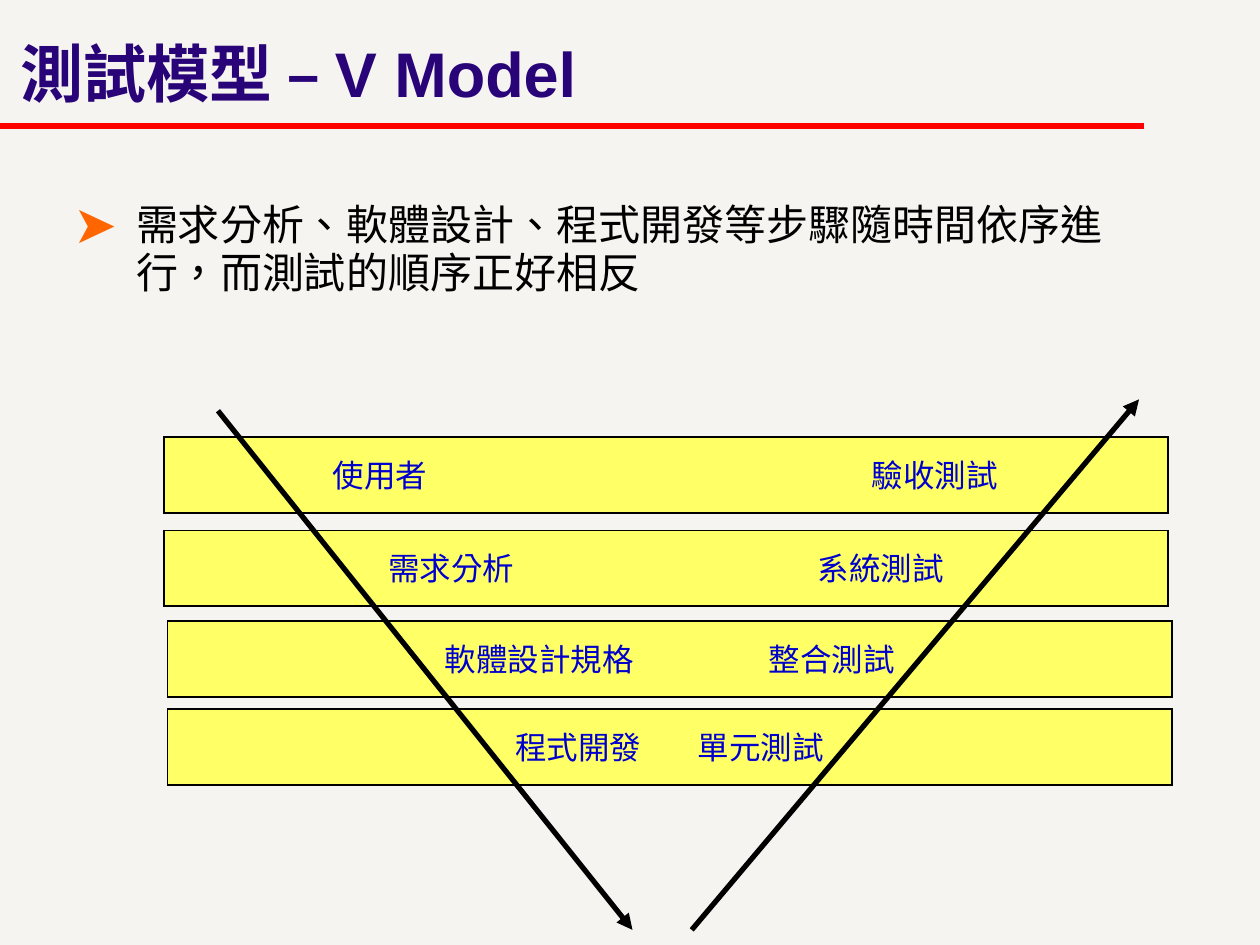
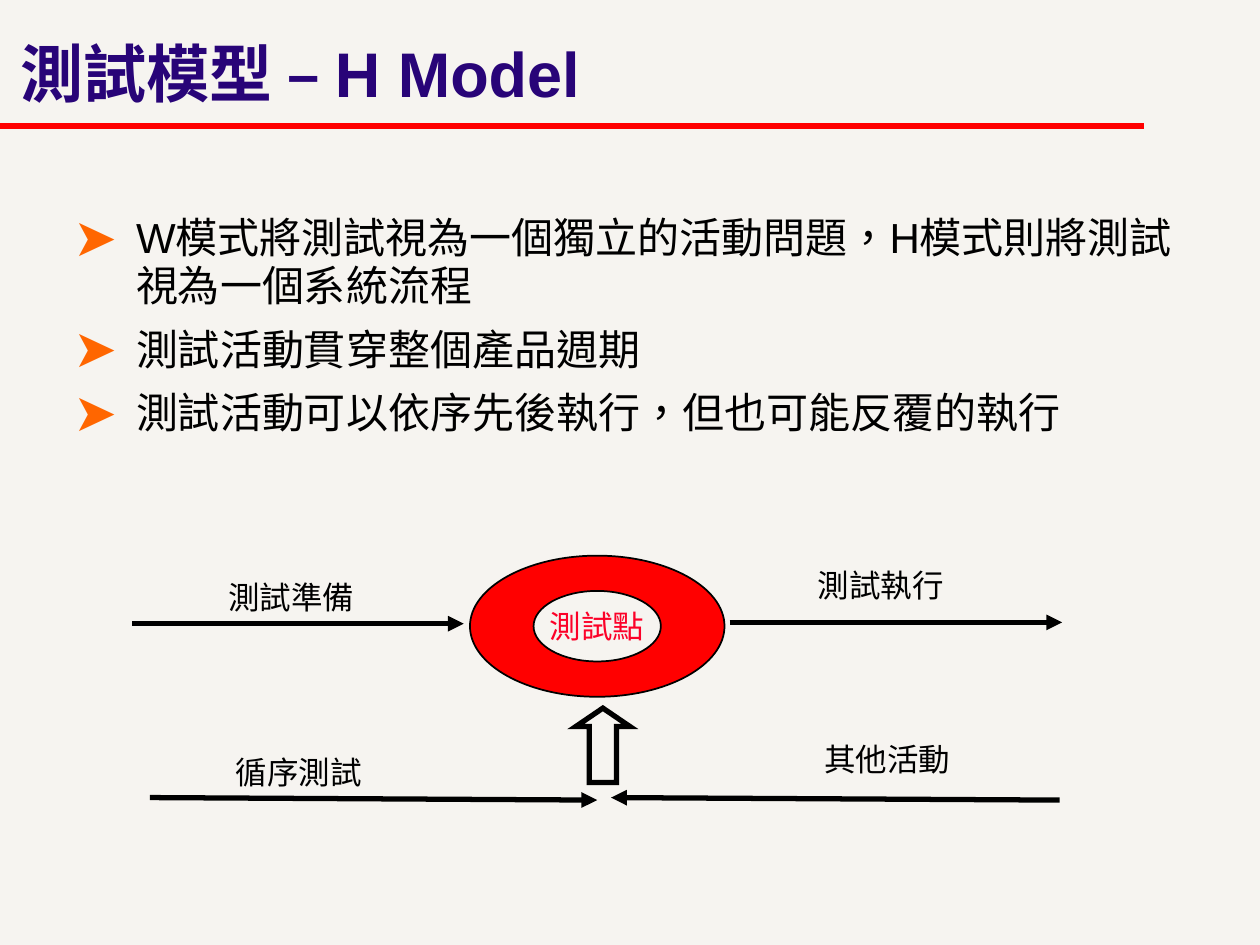
from dataclasses import dataclass

from pptx import Presentation
from pptx.dml.color import RGBColor
from pptx.enum.lang import MSO_LANGUAGE_ID
from pptx.enum.shapes import MSO_CONNECTOR, MSO_SHAPE
from pptx.enum.text import MSO_ANCHOR, PP_ALIGN
from pptx.oxml.ns import qn
from pptx.util import Inches, Pt
from lxml.etree import SubElement


@dataclass(frozen=True)
class Theme:
    """Colours, fonts and sizes shared by the slides."""
    paper: str = "F6F4F0"
    title: str = "280478"
    red: str = "FF0000"
    black: str = "000000"
    bullet: str = "FF6600"
    bar: str = "FFFF66"
    bar_text: str = "0000CC"
    point_text: str = "FC0128"
    font: str = "Arial"
    label_font: str = "TeX Gyre Pagella"
    title_size: int = 36
    body_size: int = 24
    label_size: int = 18
    thick: int = 3
    thin: int = 1


T = Theme()


def rgb(color):
    """Return a colour object for a hex string."""
    return RGBColor.from_string(color)


def write(p, text, size=T.label_size, color=T.black, font=T.font, bold=False):
    """Add a formatted run to a paragraph."""
    r = p.add_run()
    r.text = text
    r.font.size, r.font.name, r.font.bold = Pt(size), font, bold
    r.font.color.rgb = rgb(color)
    r.font.language_id = MSO_LANGUAGE_ID.TRADITIONAL_CHINESE


def set_frame(sp, anchor=MSO_ANCHOR.MIDDLE, wrap=True):
    """Set the margins, anchor and wrapping of a shape's text frame."""
    tf = sp.text_frame
    tf.margin_left = tf.margin_right = Inches(0.16)
    tf.margin_top = tf.margin_bottom = Inches(0.08)
    tf.vertical_anchor, tf.word_wrap = anchor, wrap
    return tf


def add_box(s, x, y, w, h, **frame):
    """Add a text box and return its text frame."""
    return set_frame(s.shapes.add_textbox(Inches(x), Inches(y), Inches(w), Inches(h)), **frame)


def style_shape(sp, fill, width):
    """Give a shape a sharp black outline and an optional solid fill."""
    sp.shadow.inherit = False
    if fill:
        sp.fill.solid()
        sp.fill.fore_color.rgb = rgb(fill)
    else:
        sp.fill.background()
    sp.line.color.rgb = rgb(T.black)
    sp.line.width = Pt(width)
    SubElement(sp.line._get_or_add_ln(), qn("a:miter"), lim="800000")


def add_line(s, start, end, color=T.black, arrow=True):
    """Draw a thick straight line, with an arrowhead at its end if wanted."""
    cn = s.shapes.add_connector(MSO_CONNECTOR.STRAIGHT, *map(Inches, start + end))
    cn.line.color.rgb = rgb(color)
    cn.line.width = Pt(T.thick)
    if arrow:
        SubElement(cn.line._get_or_add_ln(), qn("a:tailEnd"), type="triangle")
    SubElement(cn._element.spPr, qn("a:effectLst"))


def add_slide(prs, title):
    """Add a slide with the shared background, rule and title."""
    s = prs.slides.add_slide(prs.slide_layouts[6])
    s.background.fill.solid()
    s.background.fill.fore_color.rgb = rgb(T.paper)
    add_line(s, (0, 1), (9.08, 1), T.red, arrow=False)
    p = add_box(s, 0, 0, 8.9, 1.24).paragraphs[0]
    p.line_spacing = 0.85
    write(p, title, size=T.title_size, color=T.title, bold=True)
    return s


def add_bullets(s, height, items):
    """Add the body text with arrow bullets."""
    tf = add_box(s, 0.42, 1.25, 9.13, height)
    for i, item in enumerate(items):
        p = tf.add_paragraph() if i else tf.paragraphs[0]
        p.line_spacing, p.space_after = 0.95, Pt(7.5)
        if i:
            p.space_before = Pt(1.5)
        pPr = p._p.get_or_add_pPr()
        pPr.set("marL", str(Inches(0.5)))
        pPr.set("indent", str(-Inches(0.5)))
        pPr.set("hangingPunct", "0")
        SubElement(SubElement(pPr, qn("a:buClr")), qn("a:srgbClr"), val=T.bullet)
        SubElement(pPr, qn("a:buSzPct"), val="125000")
        SubElement(pPr, qn("a:buFont"), typeface=T.font)
        SubElement(pPr, qn("a:buChar"), char="➤")
        write(p, item, size=T.body_size)


def add_stage_bar(s, x, y, stage, test, stops):
    """Add a bar that sets a stage and its test at two tab stops."""
    sp = s.shapes.add_shape(MSO_SHAPE.RECTANGLE, Inches(x), Inches(y), Inches(7.97), Inches(0.6))
    style_shape(sp, T.bar, T.thin)
    p = set_frame(sp).paragraphs[0]
    p.alignment = PP_ALIGN.LEFT
    tabs = SubElement(p._p.get_or_add_pPr(), qn("a:tabLst"))
    for stop in stops:
        SubElement(tabs, qn("a:tab"), pos=str(Inches(stop)), algn="l")
    write(p, f"\t{stage}\t{test}", color=T.bar_text)


def add_point(parent, x, y):
    """Add a path point given in inches."""
    SubElement(parent, qn("a:pt"), x=str(Inches(x)), y=str(Inches(y)))


def trace_ellipse(path, cx, cy, rx, ry, turn):
    """Trace an ellipse with four curves, clockwise (1) or anticlockwise (-1)."""
    k = 0.55
    add_point(SubElement(path, qn("a:moveTo")), cx - rx, cy)
    ux, uy, vx, vy = -1, 0, 0, -turn
    for _ in range(4):
        curve = SubElement(path, qn("a:cubicBezTo"))
        for a, b in ((1, k), (k, 1), (0, 1)):
            add_point(curve, cx + rx * (a * ux + b * vx), cy + ry * (a * uy + b * vy))
        ux, uy, vx, vy = vx, vy, -ux, -uy
    SubElement(path, qn("a:close"))


def add_ring(s, x, y, rx, ry, text):
    """Draw an elliptical ring whose hole is half its size, with text inside."""
    fb = s.shapes.build_freeform(Inches(x), Inches(y))
    fb.add_line_segments([(Inches(x + 2 * rx), Inches(y + 2 * ry))])
    sp = fb.convert_to_shape()
    path = sp._element.spPr.find(".//" + qn("a:path"))
    for step in list(path):
        path.remove(step)
    trace_ellipse(path, rx, ry, rx, ry, 1)
    trace_ellipse(path, rx, ry, rx / 2, ry / 2, -1)
    style_shape(sp, T.red, T.thin)
    p = set_frame(sp, wrap=False).paragraphs[0]
    p.alignment = PP_ALIGN.CENTER
    write(p, text, color=T.point_text, font=T.label_font)


def add_flow(s, start, end, label, x, y):
    """Draw a flow arrow and its label."""
    add_line(s, start, end)
    tf = add_box(s, x, y, 1.32, 0.46, anchor=MSO_ANCHOR.TOP, wrap=False)
    write(tf.paragraphs[0], label, font=T.label_font)


def build_v_model(prs):
    """Build the V model slide."""
    s = add_slide(prs, "測試模型 – V Model")
    add_bullets(s, 1.47, ["需求分析、軟體設計、程式開發等步驟隨時間依序進行，而測試的順序正好相反"])
    for bar in [
        (1.33, 5.63, "程式開發", "單元測試", (2.6, 4.05)),
        (1.33, 4.93, "軟體設計規格", "整合測試", (2.04, 4.61)),
        (1.3, 4.21, "需求分析", "系統測試", (1.62, 5.03)),
        (1.3, 3.47, "使用者", "驗收測試", (1.18, 5.46)),
    ]:
        add_stage_bar(s, *bar)
    add_line(s, (1.73, 3.26), (5.02, 7.38))
    add_line(s, (5.49, 7.38), (9.04, 3.17))


def build_h_model(prs):
    """Build the H model slide."""
    s = add_slide(prs, "測試模型 – H Model")
    add_bullets(s, 2.69, [
        "W模式將測試視為一個獨立的活動問題，H模式則將測試視為一個系統流程",
        "測試活動貫穿整個產品週期",
        "測試活動可以依序先後執行，但也可能反覆的執行",
    ])
    add_ring(s, 3.73, 4.41, 1.01, 0.56, "測試點")
    for flow in [
        ((1.05, 4.95), (3.68, 4.95), "測試準備", 1.65, 4.51),
        ((5.79, 4.94), (8.43, 4.94), "測試執行", 6.33, 4.41),
        ((1.19, 6.33), (4.74, 6.35), "循序測試", 1.71, 5.9),
        ((8.41, 6.35), (4.85, 6.33), "其他活動", 6.38, 5.79),
    ]:
        add_flow(s, *flow)
    sp = s.shapes.add_shape(MSO_SHAPE.UP_ARROW, Inches(4.57), Inches(5.62), Inches(0.43), Inches(0.59))
    sp.adjustments[0], sp.adjustments[1] = 0.5, 0.34
    style_shape(sp, None, T.thick)


def main():
    """Build and save the presentation."""
    prs = Presentation()
    prs.slide_width, prs.slide_height = Inches(10), Inches(7.5)
    build_v_model(prs)
    build_h_model(prs)
    prs.save("out.pptx")


if __name__ == "__main__":
    main()
